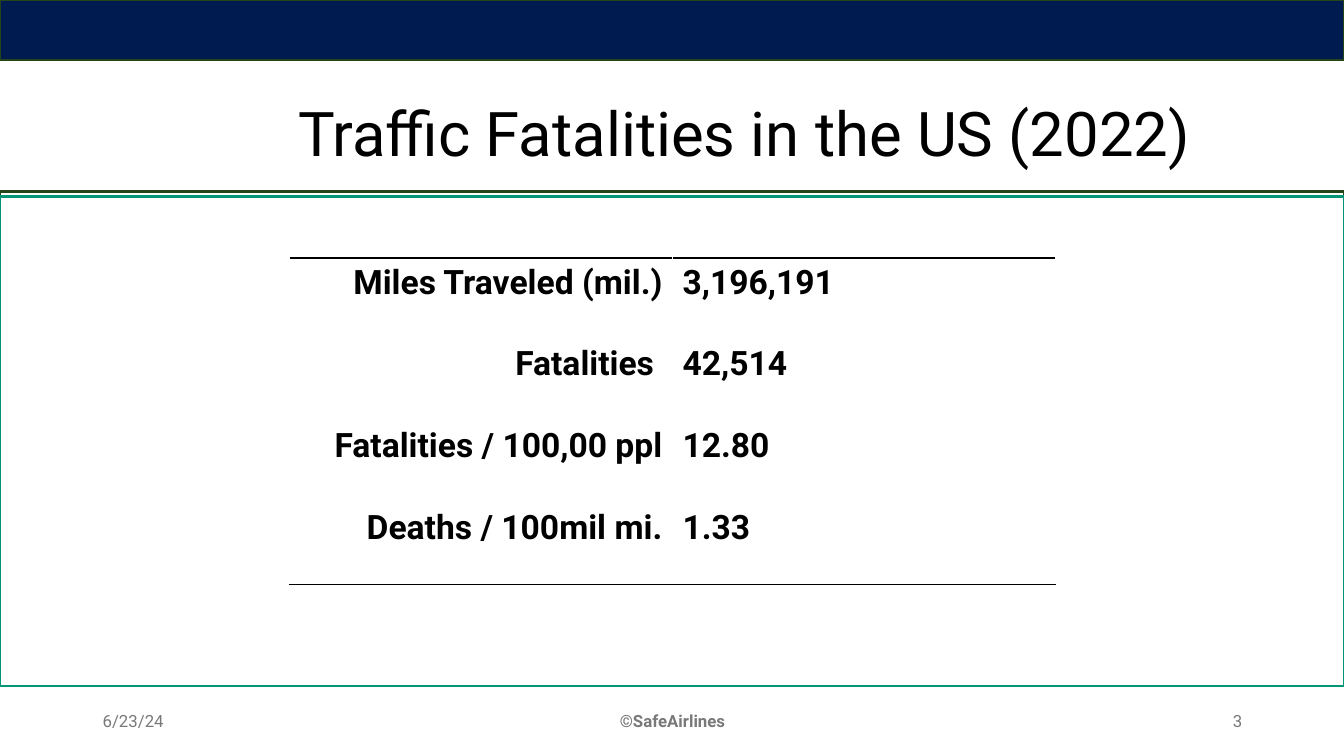
import pptx
import pptx.util
import pptx.dml.color
import pptx.enum.shapes
import pptx.enum.text
import pptx.oxml
import pptx.oxml.ns

Inches = pptx.util.Inches
Align = pptx.enum.text.PP_ALIGN
COLORS = {"white": "FFFFFF", "navy": "001B4F", "olive": "254519",
          "teal": "029676", "black": "000000", "gray": "797979"}


def rgb(name):
    return pptx.dml.color.RGBColor.from_string(COLORS[name])


def write(frame, text, size, color, bold=False, align=Align.LEFT):
    frame.word_wrap = True
    para = frame.paragraphs[0]
    para.alignment = align
    span = para.add_run()
    span.text = text
    for key, value in {"name": "Roboto", "size": pptx.util.Pt(size), "bold": bold}.items():
        setattr(span.font, key, value)
    span.font.color.rgb = rgb(color)
    return para


deck = pptx.Presentation()
deck.slide_width, deck.slide_height = Inches(13.33), Inches(7.5)
page = deck.slides.add_slide(deck.slide_layouts[6])

# Background bands: top, height, fill, line
for top, height, fill, line in [(1.9, 4.86, "white", "olive"),
                                (0, 0.6, "navy", "olive"),
                                (1.95, 4.86, "white", "teal")]:
    band = page.shapes.add_shape(pptx.enum.shapes.MSO_SHAPE.RECTANGLE,
                                 0, Inches(top), Inches(13.33), Inches(height))
    band.shadow.inherit = False
    band.fill.solid()
    band.fill.fore_color.rgb = rgb(fill)
    band.line.color.rgb = rgb(line)
    band.line.width = pptx.util.Pt(1.5)

# Title and footer texts
for place, text, size, color, bold, align in [
    ((2.86, 0.63, 11.5, 1.45), "Traffic Fatalities in the US (2022)", 44, "black", False, Align.LEFT),
    ((0.92, 6.95, 3, 0.4), "6/23/24", 12, "gray", False, Align.LEFT),
    ((4.42, 6.95, 4.5, 0.4), "©SafeAirlines", 12, "gray", True, Align.CENTER),
    ((9.42, 6.95, 3, 0.4), "3", 12, "gray", False, Align.RIGHT),
]:
    box = page.shapes.add_textbox(*map(Inches, place))
    box.text_frame.vertical_anchor = pptx.enum.text.MSO_ANCHOR.MIDDLE
    para = write(box.text_frame, text, size, color, bold, align)
    if size == 44:
        para.line_spacing = 0.9

# Table of figures
figures = [("Miles Traveled (mil.)", "3,196,191"),
           ("Fatalities ", "42,514"),
           ("Fatalities / 100,00 ppl", "12.80"),
           ("Deaths / 100mil mi.", "1.33")]
table = page.shapes.add_table(len(figures), 2, Inches(2.87), Inches(2.56),
                              Inches(7.6), Inches(3.24)).table
table.first_row = table.horz_banding = False
rules = {0: "lnT", len(figures) - 1: "lnB"}
for row, pair in enumerate(figures):
    for column, text in enumerate(pair):
        cell = table.cell(row, column)
        cell.fill.background()
        write(cell.text_frame, text, 24, "black", True, (Align.RIGHT, Align.LEFT)[column])
        # Rule above the first row and below the last one
        if row in rules:
            border = pptx.oxml.parse_xml(
                f'<a:{rules[row]} {pptx.oxml.ns.nsdecls("a")} w="12700"><a:solidFill>'
                f'<a:srgbClr val="{COLORS["black"]}"/></a:solidFill></a:{rules[row]}>')
            cell._tc.get_or_add_tcPr().insert(0, border)

deck.save("out.pptx")
